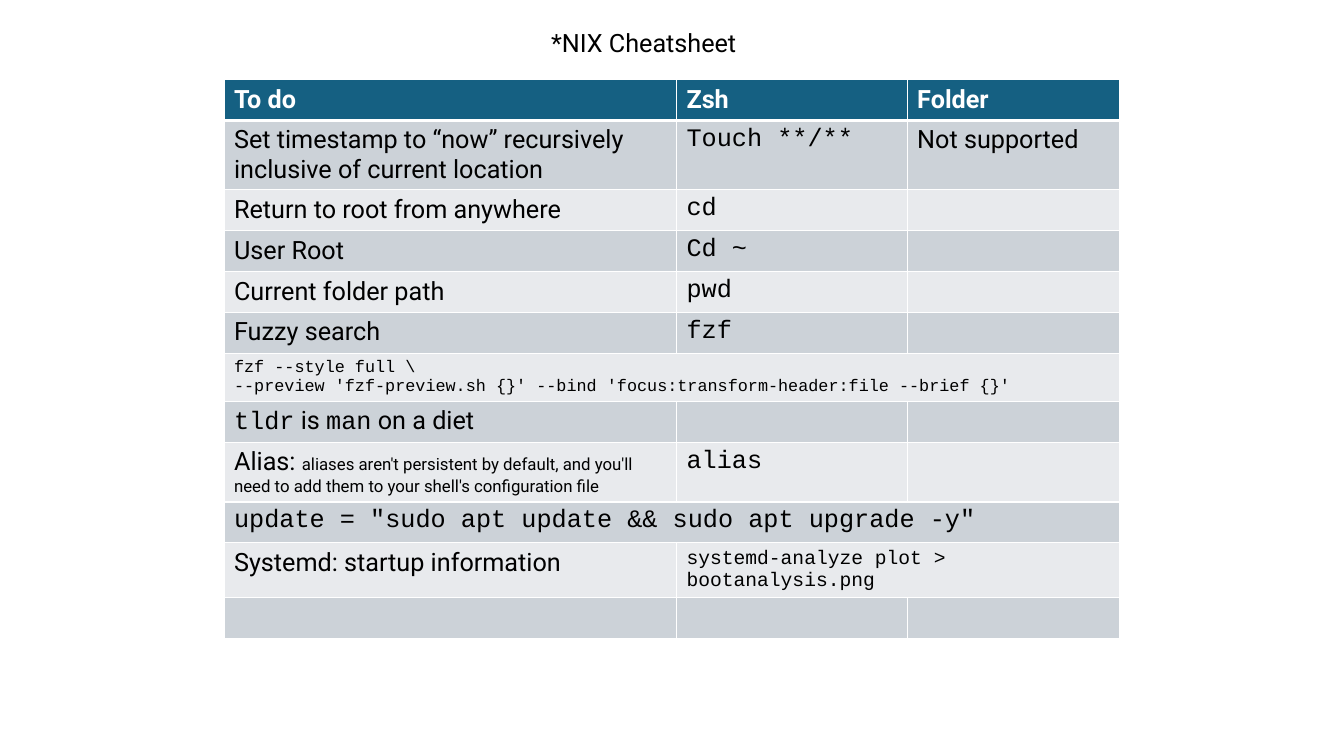
from lxml import etree
from pptx import Presentation
from pptx import util as u
from pptx.dml.color import RGBColor
from pptx.enum import text
from pptx.oxml.ns import qn

WHITE = RGBColor(0xFF, 0xFF, 0xFF)
BLACK = RGBColor(0x00, 0x00, 0x00)
TEAL = RGBColor(0x15, 0x60, 0x82)
BANDS = (RGBColor(0xE8, 0xEA, 0xED), RGBColor(0xCC, 0xD2, 0xD8))
SANS, MONO = "Roboto", "Courier New"
REGULAR, COMPACT, SMALL = 18, 14, 12

COLUMN_SPANS = (40.4, 20.6, 19)
HEADINGS = ("To do", "Zsh", "Folder")


def sans(words, size=REGULAR):
    return words, SANS, size


def mono(words, size=REGULAR):
    return words, MONO, size


# Each row lists its cells, each cell its runs; the last cell of a short row
# fills the remaining columns.
COMMANDS = [
    [[sans("Set timestamp to “now” recursively inclusive of current location")],
     [mono("Touch **/**")], [sans("Not supported")]],
    [[sans("Return to root from anywhere")], [mono("cd")], []],
    [[sans("User Root")], [mono("Cd ~")], []],
    [[sans("Current folder path")], [mono("pwd")], []],
    [[sans("Fuzzy search")], [mono("fzf")], []],
    [[mono("fzf --style full \\\v--preview 'fzf-preview.sh {}' "
           "--bind 'focus:transform-header:file --brief {}'", SMALL)]],
    [[mono("tldr"), sans(" is "), mono("man"), sans(" on a diet")], [], []],
    [[sans("Alias: "),
      sans("aliases aren't persistent by default, and you'll need to add them "
           "to your shell's configuration file", SMALL)],
     [mono("alias")], []],
    [[mono('update = "sudo apt update && sudo apt upgrade -y"')]],
    [[sans("Systemd: startup information")],
     [mono("systemd-analyze plot > bootanalysis.png", COMPACT)]],
    [[], [], []],
]


class Sheet:
    """A slide on a grid of 120 columns and 75 rows."""

    def __init__(self, deck):
        self.column = deck.slide_width / 120
        self.row = deck.slide_height / 75
        self.slide = deck.slides.add_slide(deck.slide_layouts[5])

    def box(self, left, top, width, height):
        return (int(left * self.column), int(top * self.row),
                int(width * self.column), int(height * self.row))

    def style(self, font, face, size, color, bold=False):
        font.name, font.size, font.bold = face, u.Pt(size), bold
        font.color.rgb = color

    def title(self, words, *place):
        heading = self.slide.shapes.title
        heading.left, heading.top, heading.width, heading.height = self.box(*place)
        frame = heading.text_frame
        frame.text = words
        frame.word_wrap = True
        frame.auto_size = text.MSO_AUTO_SIZE.NONE
        frame.vertical_anchor = text.MSO_ANCHOR.TOP
        line = frame.paragraphs[0]
        line.alignment = text.PP_ALIGN.LEFT
        self.style(line.font, SANS, REGULAR, BLACK)

    def borders(self, cell, bottom):
        """Draw white cell edges; bottom is the width of the lower one in points."""
        properties = cell._tc.get_or_add_tcPr()
        for side, width in (("L", 1), ("R", 1), ("T", 1), ("B", bottom)):
            edge = etree.SubElement(properties, qn(f"a:ln{side}"), w=str(u.Pt(width)))
            fill = etree.SubElement(edge, qn("a:solidFill"))
            etree.SubElement(fill, qn("a:srgbClr"), val=str(WHITE))

    def fill_in(self, cell, runs, color, bold):
        line = cell.text_frame.paragraphs[0]
        if len({(face, size) for _, face, size in runs}) > 1:
            for words, face, size in runs:
                run = line.add_run()
                run.text = words
                self.style(run.font, face, size, color, bold)
        else:
            words, face, size = runs[0] if runs else sans("")
            line.text = words
            self.style(line.font, face, size, color, bold)

    def table(self, headings, body, spans, left, top, row_height):
        rows = [[[sans(heading)] for heading in headings]] + body
        grid = self.slide.shapes.add_table(
            len(rows), len(spans),
            *self.box(left, top, sum(spans), row_height * len(rows))).table
        grid.horz_banding = False
        for column, span in zip(grid.columns, spans):
            column.width = int(span * self.column)
        for r, cells in enumerate(rows):
            header = r == 0
            for c in range(len(spans)):
                cell = grid.cell(r, c)
                self.borders(cell, 3 if header else 1)
                cell.fill.solid()
                cell.fill.fore_color.rgb = TEAL if header else BANDS[r % 2]
            for c, runs in enumerate(cells):
                self.fill_in(grid.cell(r, c), runs, WHITE if header else BLACK, header)
            if len(cells) < len(spans):
                grid.cell(r, len(cells) - 1).merge(grid.cell(r, len(spans) - 1))


def main():
    deck = Presentation()
    deck.slide_width, deck.slide_height = u.Inches(13.33), u.Inches(7.5)
    sheet = Sheet(deck)
    sheet.title("*NIX Cheatsheet", 48.3, 2.2, 22.6, 4)
    sheet.table(HEADINGS, COMMANDS, COLUMN_SPANS, left=20, top=7.9, row_height=4.06)
    deck.save("out.pptx")


if __name__ == "__main__":
    main()
